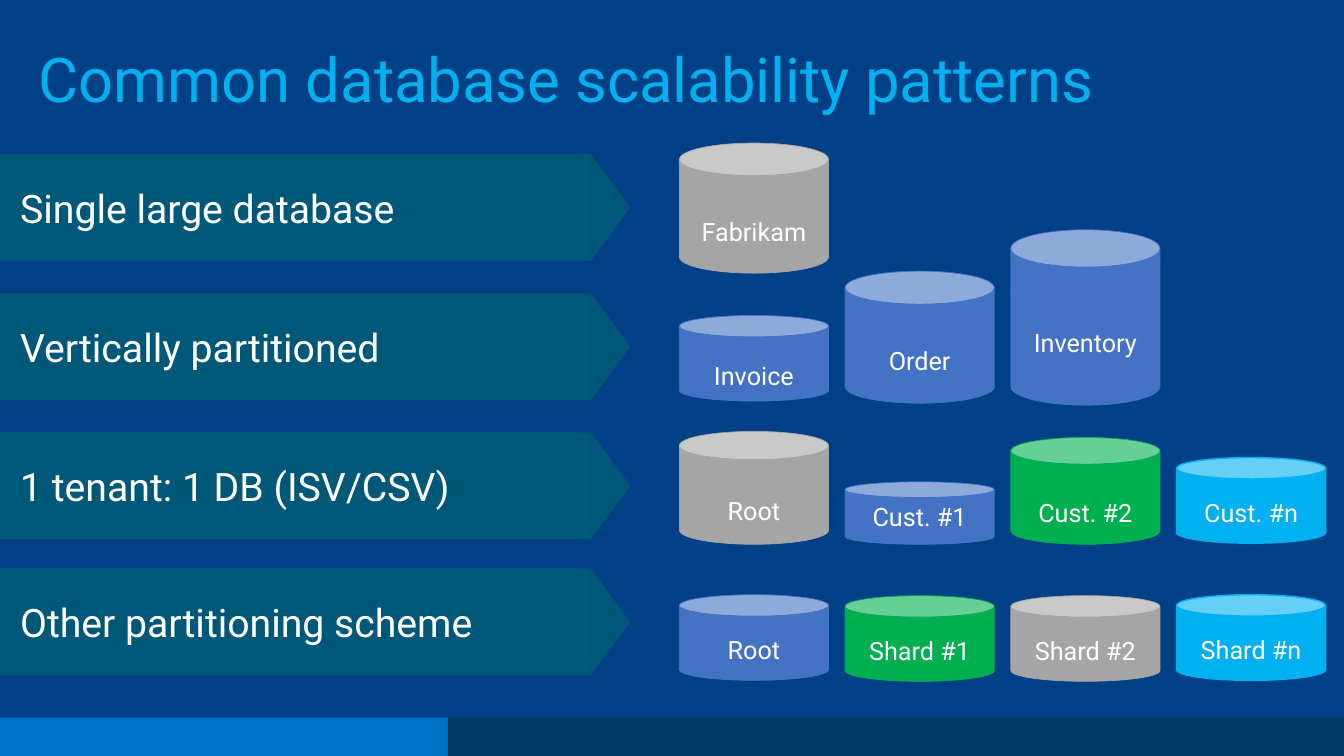
from dataclasses import dataclass

import pptx
import pptx.dml.color
import pptx.enum.shapes
import pptx.enum.text
import pptx.util

SHAPE = pptx.enum.shapes.MSO_SHAPE
ANCHOR = pptx.enum.text.MSO_ANCHOR
ALIGN = pptx.enum.text.PP_ALIGN

FONT = "Roboto"
WHITE, NAVY, DARK_NAVY, TEAL = "FFFFFF", "004086", "003963", "005878"
BLUE, GREEN, GRAY, SKY, FOOTER_BLUE = "4472C4", "00B050", "A5A5A5", "00B0F0", "0072C6"

# Grid of 100 columns by 100 rows
SLIDE_WIDTH = pptx.util.Inches(13.33)
SLIDE_HEIGHT = pptx.util.Inches(7.5)
BAND_WIDTH, BAND_HEIGHT, ARROW_DEPTH = 43.95, 14.13, 2.93
CAN_LEFT, CAN_PITCH, CAN_WIDTH = 50.55, 12.33, 11.1
FOOTER_TOP, FOOTER_SPLIT = 94.93, 33.33


@dataclass
class Can:
    column: int
    top: float
    height: float
    color: str
    label: str
    centered: bool = False
    outline: float = 0.5


@dataclass
class Pattern:
    top: float
    label: str
    cans: list[Can]


PATTERNS = [
    Pattern(20.4, "Single large database", [
        Can(0, 18.93, 17.2, GRAY, "Fabrikam", True),
    ]),
    Pattern(38.8, "Vertically partitioned", [
        Can(0, 41.73, 11.33, BLUE, "Invoice", True),
        Can(1, 35.87, 17.47, BLUE, "Order", True),
        Can(2, 30.4, 23.2, BLUE, "Inventory", True),
    ]),
    Pattern(57.2, "1 tenant: 1 DB (ISV/CSV)", [
        Can(0, 57.07, 14.93, GRAY, "Root", True),
        Can(1, 63.73, 8.27, BLUE, "Cust. #1"),
        Can(2, 57.87, 14.13, GREEN, "Cust. #2", True),
        Can(3, 60.53, 11.33, SKY, "Cust. #n", outline=1),
    ]),
    Pattern(75.2, "Other partitioning scheme", [
        Can(0, 78.67, 11.33, BLUE, "Root"),
        Can(1, 78.8, 11.33, GREEN, "Shard #1"),
        Can(2, 78.8, 11.33, GRAY, "Shard #2"),
        Can(3, 78.67, 11.33, SKY, "Shard #n", outline=1),
    ]),
]


def color(value: str) -> pptx.dml.color.RGBColor:
    return pptx.dml.color.RGBColor.from_string(value)


def across(columns: float) -> int:
    return round(SLIDE_WIDTH * columns / 100)


def down(rows: float) -> int:
    return round(SLIDE_HEIGHT * rows / 100)


def add_filled(page, kind, left: int, top: int, width: int, height: int, fill: str):
    shape = page.shapes.add_shape(kind, left, top, width, height)
    shape.shadow.inherit = False
    shape.fill.solid()
    shape.fill.fore_color.rgb = color(fill)
    shape.line.fill.background()
    return shape


def write(shape, text: str, size: float, ink: str, align, anchor):
    frame = shape.text_frame
    frame.word_wrap = True
    frame.vertical_anchor = anchor
    para = frame.paragraphs[0]
    para.alignment = align
    span = para.add_run()
    span.text = text
    span.font.name = FONT
    span.font.size = pptx.util.Pt(size)
    span.font.color.rgb = color(ink)
    return para


def add_title(page, text: str) -> None:
    title = page.shapes.title
    title.left, title.top = 0, down(4.13)
    title.width, title.height = across(95.55), down(13.6)
    title.text_frame.auto_size = pptx.enum.text.MSO_AUTO_SIZE.NONE
    para = write(title, text, 44, SKY, ALIGN.LEFT, ANCHOR.MIDDLE)
    para.line_spacing = 0.9
    properties = para._p.get_or_add_pPr()
    properties.set("marL", str(across(2.1)))
    properties.set("indent", "0")


def add_band(page, pattern: Pattern) -> None:
    top, height = down(pattern.top), down(BAND_HEIGHT)
    band = add_filled(page, SHAPE.RECTANGLE, 0, top, across(BAND_WIDTH), height, TEAL)
    frame = band.text_frame
    frame.margin_left = frame.margin_right = across(1.5)
    frame.margin_top = frame.margin_bottom = down(2)
    write(band, pattern.label, 28, WHITE, ALIGN.LEFT, ANCHOR.MIDDLE)

    # The triangle turns about its centre to point right
    depth = across(ARROW_DEPTH)
    center = across(BAND_WIDTH) + depth // 2
    tip = add_filled(page, SHAPE.ISOSCELES_TRIANGLE, center - height // 2,
                     top + (height - depth) // 2, height, depth, TEAL)
    tip.rotation = 90


def add_can(page, can: Can) -> None:
    width, height = across(CAN_WIDTH), down(can.height)
    shape = add_filled(page, SHAPE.CAN, across(CAN_LEFT + can.column * CAN_PITCH),
                       down(can.top), width, height, can.color)
    shape.line.color.rgb = color(can.color)
    shape.line.width = pptx.util.Pt(can.outline)
    if can.centered:
        # Label sits one line below the middle of the can's body
        body = height - 0.375 * min(width, height)
        shape.text_frame.margin_bottom = max(0, round(body / 2 - down(4)))
    write(shape, can.label, 18, WHITE, ALIGN.CENTER, ANCHOR.BOTTOM)


def main() -> None:
    deck = pptx.Presentation()
    deck.slide_width, deck.slide_height = SLIDE_WIDTH, SLIDE_HEIGHT
    page = deck.slides.add_slide(deck.slide_layouts.get_by_name("Title Only"))
    page.background.fill.solid()
    page.background.fill.fore_color.rgb = color(NAVY)
    add_title(page, "Common database scalability patterns")

    # Footer strip
    for left, right, fill in ((0, FOOTER_SPLIT, FOOTER_BLUE), (FOOTER_SPLIT, 100, DARK_NAVY)):
        add_filled(page, SHAPE.RECTANGLE, across(left), down(FOOTER_TOP),
                   across(right - left), down(100 - FOOTER_TOP), fill)

    # Pattern names with their databases
    for pattern in PATTERNS:
        add_band(page, pattern)
        for can in pattern.cans:
            add_can(page, can)

    deck.save("out.pptx")


if __name__ == "__main__":
    main()
